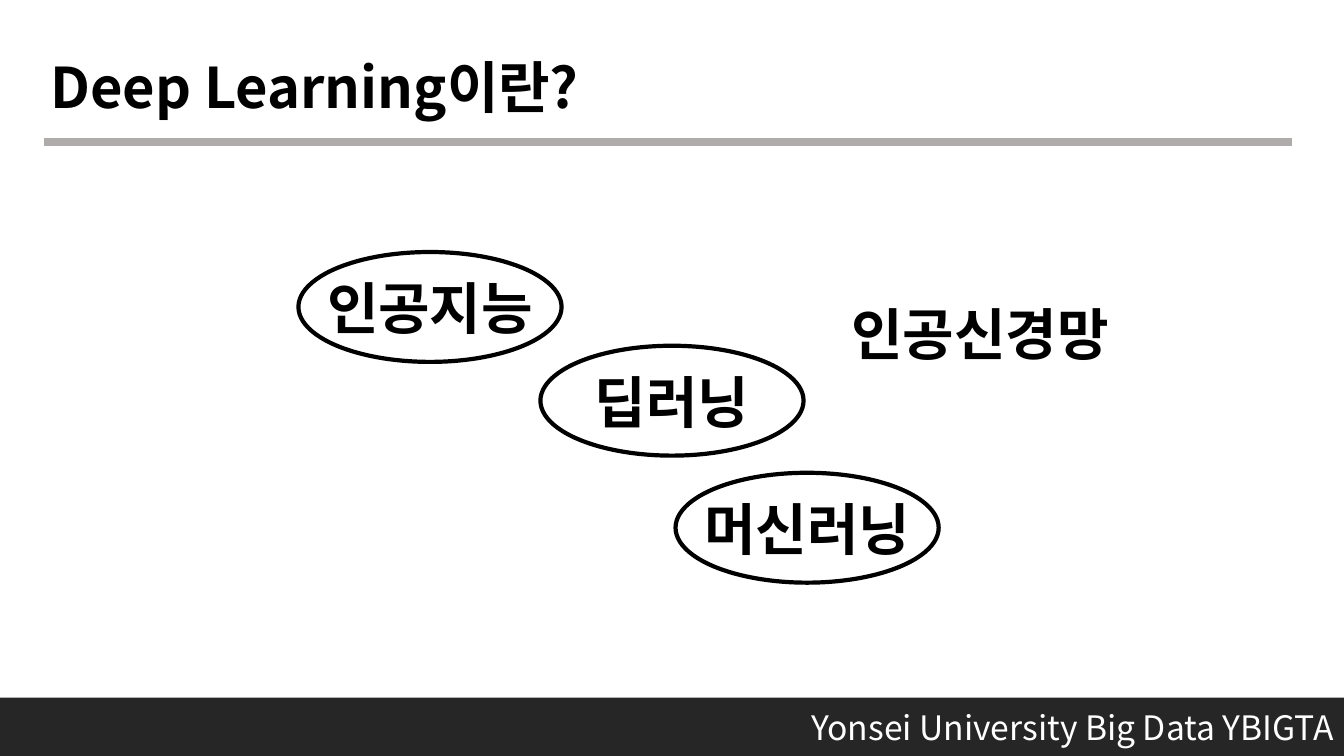
"""Build a slide that introduces deep learning and its related terms."""
from dataclasses import dataclass

import lxml.etree
import pptx
import pptx.dml.color
import pptx.enum.shapes
import pptx.enum.text
import pptx.oxml.ns
import pptx.shapes.autoshape
import pptx.slide
import pptx.text.text
import pptx.util

Inches = pptx.util.Inches
RGBColor = pptx.dml.color.RGBColor
ALIGN = pptx.enum.text.PP_ALIGN
SHAPE = pptx.enum.shapes.MSO_SHAPE

FONT = "Noto Sans CJK KR"
BLACK = RGBColor(0x00, 0x00, 0x00)
WHITE = RGBColor(0xFF, 0xFF, 0xFF)
RULE_GRAY = RGBColor(0xAF, 0xAB, 0xAB)
FOOTER_GRAY = RGBColor(0x26, 0x26, 0x26)
ELLIPSE_WIDTH, ELLIPSE_HEIGHT = Inches(2.61), Inches(1.09)


@dataclass(frozen=True)
class Term:
    text: str
    left: float
    top: float


CIRCLED_TERMS = (
    Term("머신러닝", 6.7, 4.69),
    Term("딥러닝", 5.36, 3.43),
    Term("인공지능", 2.96, 2.5),
)
PLAIN_TERM = Term("인공신경망", 7.85, 2.92)


def write_text(
    frame: pptx.text.text.TextFrame,
    text: str,
    *,
    size: int = 40,
    bold: bool = True,
    color: RGBColor = BLACK,
    align: ALIGN = ALIGN.CENTER,
    wrap: bool = True,
) -> None:
    frame.word_wrap = wrap
    frame.auto_size = pptx.enum.text.MSO_AUTO_SIZE.NONE
    frame.vertical_anchor = pptx.enum.text.MSO_ANCHOR.MIDDLE
    paragraph = frame.paragraphs[0]
    paragraph.alignment = align
    run = paragraph.add_run()
    run.text = text
    run.font.name = FONT
    run.font.size = pptx.util.Pt(size)
    run.font.bold = bold
    run.font.color.rgb = color
    east_asian = lxml.etree.SubElement(run.font._element, pptx.oxml.ns.qn("a:ea"))
    east_asian.set("typeface", FONT)


def add_title(slide: pptx.slide.Slide) -> None:
    title = slide.shapes.title
    title.left, title.top = Inches(0.4), Inches(0.47)
    title.width, title.height = Inches(12.5), Inches(0.77)
    write_text(title.text_frame, "Deep Learning이란?", align=ALIGN.LEFT)
    rule = slide.shapes.add_connector(
        pptx.enum.shapes.MSO_CONNECTOR.STRAIGHT,
        Inches(0.44), Inches(1.41), Inches(12.81), Inches(1.41),
    )
    rule.line.color.rgb = RULE_GRAY
    rule.line.width = pptx.util.Pt(6)
    lxml.etree.SubElement(rule._element.spPr, pptx.oxml.ns.qn("a:effectLst"))


def add_filled_shape(
    slide: pptx.slide.Slide,
    kind: SHAPE,
    left: int,
    top: int,
    width: int,
    height: int,
    color: RGBColor,
) -> pptx.shapes.autoshape.Shape:
    shape = slide.shapes.add_shape(kind, left, top, width, height)
    shape.shadow.inherit = False
    shape.fill.solid()
    shape.fill.fore_color.rgb = color
    shape.line.fill.background()
    return shape


def add_circled_term(slide: pptx.slide.Slide, term: Term) -> None:
    ellipse = add_filled_shape(
        slide, SHAPE.OVAL, Inches(term.left), Inches(term.top),
        ELLIPSE_WIDTH, ELLIPSE_HEIGHT, WHITE,
    )
    ellipse.line.color.rgb = BLACK
    ellipse.line.width = pptx.util.Pt(3)
    write_text(ellipse.text_frame, term.text, wrap=False)


def add_plain_term(slide: pptx.slide.Slide, term: Term) -> None:
    box = slide.shapes.add_textbox(
        Inches(term.left), Inches(term.top), Inches(3.74), Inches(0.77)
    )
    write_text(box.text_frame, term.text)


def add_footer(slide: pptx.slide.Slide, slide_width: int) -> None:
    add_filled_shape(
        slide, SHAPE.RECTANGLE, 0, Inches(6.92), slide_width, Inches(0.58), FOOTER_GRAY
    )
    box = slide.shapes.add_textbox(
        Inches(7.47), Inches(6.96), Inches(5.86), Inches(0.5)
    )
    write_text(
        box.text_frame, "Yonsei University Big Data YBIGTA",
        size=24, bold=False, color=WHITE, align=ALIGN.RIGHT,
    )


def main() -> None:
    presentation = pptx.Presentation()
    presentation.slide_width = Inches(13.33)
    presentation.slide_height = Inches(7.5)
    slide = presentation.slides.add_slide(presentation.slide_layouts[5])
    add_title(slide)
    for term in CIRCLED_TERMS:
        add_circled_term(slide, term)
    add_plain_term(slide, PLAIN_TERM)
    add_footer(slide, presentation.slide_width)
    presentation.save("out.pptx")


if __name__ == "__main__":
    main()
